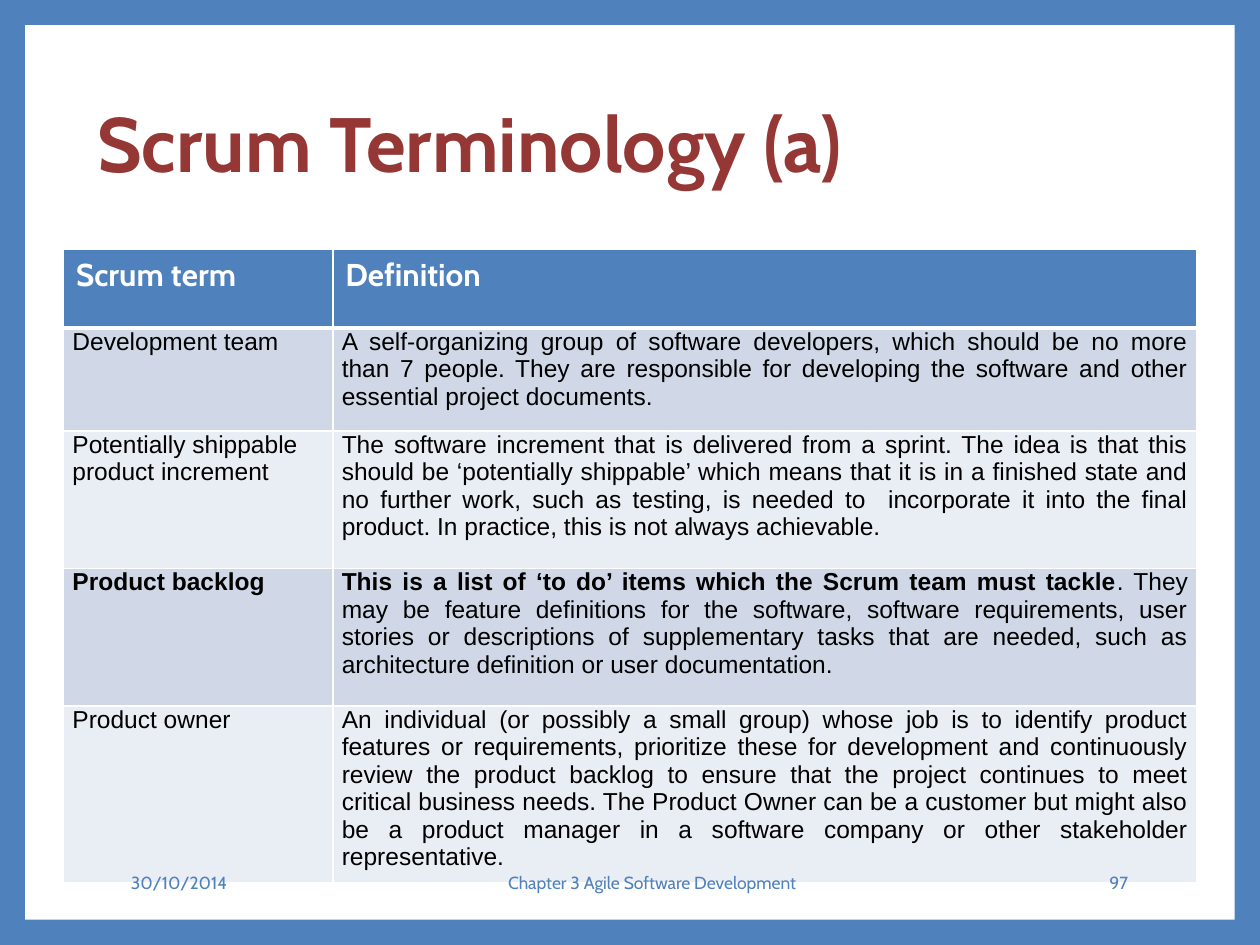
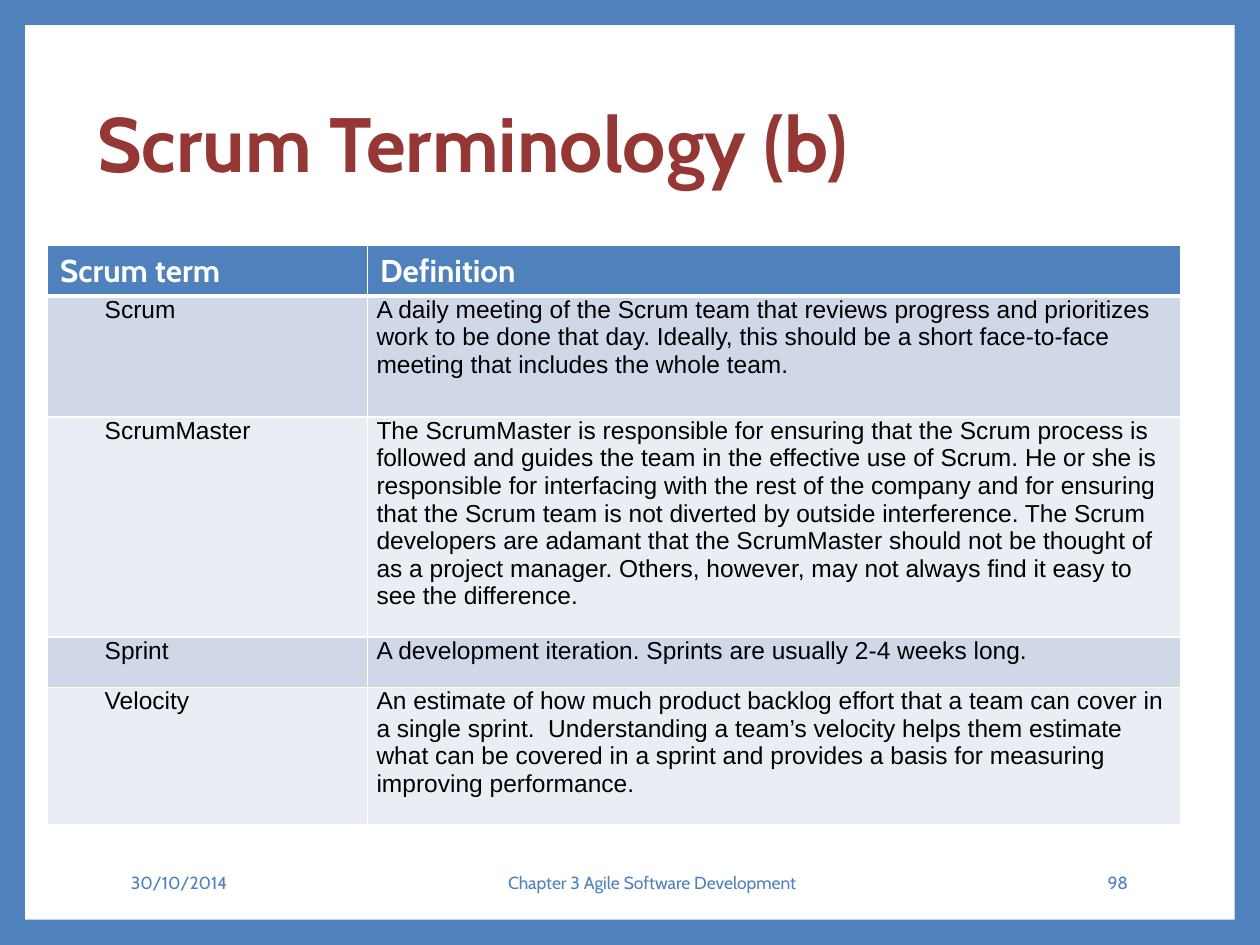
from dataclasses import dataclass

from lxml.etree import SubElement
from pptx import Presentation
from pptx.dml.color import RGBColor
from pptx.enum.shapes import MSO_SHAPE
from pptx.enum.text import MSO_ANCHOR as Anchor, PP_ALIGN as Align
from pptx.oxml.ns import qn
from pptx.slide import Slide
from pptx.table import _Cell as Cell
from pptx.text.text import Font, _Paragraph as Paragraph
from pptx.util import Cm, Pt


@dataclass(frozen=True)
class Theme:
    blue: str = "4F81BD"
    red: str = "953735"
    white: str = "FFFFFF"
    black: str = "000000"
    bands: tuple[str, str] = ("D0D8E8", "E9EDF4")
    heading_font: str = "Cabin"
    body_font: str = "Arial"
    title_size: int = 44
    header_size: int = 18
    body_size: int = 14
    footer_size: int = 10


THEME = Theme()


@dataclass(frozen=True)
class Box:
    """A place on the slide, in centimetres."""
    left: float
    top: float
    width: float
    height: float


@dataclass(frozen=True)
class Footer:
    text: str
    box: Box
    align: Align


@dataclass(frozen=True)
class Entry:
    term: str
    definition: str
    height: float
    bold_lead: str = ""


@dataclass(frozen=True)
class Glossary:
    title: str
    number: int
    left: float
    top: float
    columns: tuple[float, float]
    header_height: float
    entries: tuple[Entry, ...]
    align: Align = Align.LEFT
    term_indent: float = 0


SLIDE_WIDTH, SLIDE_HEIGHT, FRAME = 25.4, 19.05, 0.51
TITLE_BOX = Box(1.71, 1.09, 22.15, 3.76)
FOOTER_TOP, FOOTER_HEIGHT = 17.29, 1.02
HEADERS = ("Scrum term", "Definition")

GLOSSARIES = (
    Glossary(
        "Scrum Terminology (a)", 97, 1.28, 5.03, (5.43, 17.42), 1.58,
        (
            Entry("Development team",
                  "A self-organizing group of software developers, which should be no more than 7 "
                  "people. They are responsible for developing the software and other essential "
                  "project documents.", 2.08),
            Entry("Potentially shippable product increment",
                  "The software increment that is delivered from a sprint. The idea is that this "
                  "should be ‘potentially shippable’ which means that it is in a finished state "
                  "and no further work, such as testing, is needed to  incorporate it into the "
                  "final product. In practice, this is not always achievable.", 2.77),
            Entry("Product backlog",
                  ". They may be feature definitions for the software, software requirements, user "
                  "stories or descriptions of supplementary tasks that are needed, such as "
                  "architecture definition or user documentation.", 2.77,
                  "This is a list of ‘to do’ items which the Scrum team must tackle"),
            Entry("Product owner",
                  "An individual (or possibly a small group) whose job is to identify product "
                  "features or requirements, prioritize these for development and continuously "
                  "review the product backlog to ensure that the project continues to meet "
                  "critical business needs. The Product Owner can be a customer but might also be "
                  "a product manager in a software company or other stakeholder representative.",
                  3.32),
        ),
        align=Align.JUSTIFY,
    ),
    Glossary(
        "Scrum Terminology (b)", 98, 0.96, 4.95, (6.45, 16.4), 1.02,
        (
            Entry("Scrum",
                  "A daily meeting of the Scrum team that reviews progress and prioritizes work to "
                  "be done that day. Ideally, this should be a short face-to-face meeting that "
                  "includes the whole team.", 2.44),
            Entry("ScrumMaster",
                  "The ScrumMaster is responsible for ensuring that the Scrum process is followed "
                  "and guides the team in the effective use of Scrum. He or she is responsible for "
                  "interfacing with the rest of the company and for ensuring that the Scrum team "
                  "is not diverted by outside interference. The Scrum developers are adamant that "
                  "the ScrumMaster should not be thought of as a project manager. Others, however, "
                  "may not always find it easy to see the difference.", 4.43),
            Entry("Sprint", "A development iteration. Sprints are usually 2-4 weeks long.", 1.02),
            Entry("Velocity",
                  "An estimate of how much product backlog effort that a team can cover in a "
                  "single sprint.  Understanding a team’s velocity helps them estimate what can be "
                  "covered in a sprint and provides a basis for measuring improving performance.",
                  2.77),
        ),
        term_indent=0.97,
    ),
)


def set_font(font: Font, name: str, size: int, color: str, bold: bool = False) -> None:
    font.name, font.size, font.bold = name, Pt(size), bold
    font.color.rgb = RGBColor.from_string(color)


def add_text(slide: Slide, box: Box, text: str, align: Align = Align.LEFT) -> Paragraph:
    shape = slide.shapes.add_textbox(Cm(box.left), Cm(box.top), Cm(box.width), Cm(box.height))
    frame = shape.text_frame
    frame.word_wrap = True
    frame.vertical_anchor = Anchor.MIDDLE
    paragraph = frame.paragraphs[0]
    paragraph.text, paragraph.alignment = text, align
    return paragraph


def add_base(slide: Slide, title: str) -> None:
    """Draw the frame and title that all slides share."""
    background = slide.background.fill
    background.solid()
    background.fore_color.rgb = RGBColor.from_string(THEME.blue)
    panel = slide.shapes.add_shape(MSO_SHAPE.RECTANGLE, Cm(FRAME), Cm(FRAME),
                                   Cm(SLIDE_WIDTH - 2 * FRAME), Cm(SLIDE_HEIGHT - 2 * FRAME))
    panel.shadow.inherit = False
    panel.fill.solid()
    panel.fill.fore_color.rgb = RGBColor.from_string(THEME.white)
    panel.line.fill.background()

    heading = add_text(slide, TITLE_BOX, title)
    heading.line_spacing = 0.9
    set_font(heading.font, THEME.heading_font, THEME.title_size, THEME.red, True)


def add_footers(slide: Slide, number: int) -> None:
    footers = (
        Footer("30/10/2014", Box(2.39, FOOTER_TOP, 4.85, FOOTER_HEIGHT), Align.LEFT),
        Footer("Chapter 3 Agile Software Development",
               Box(8.23, FOOTER_TOP, 9.83, FOOTER_HEIGHT), Align.CENTER),
        Footer(str(number), Box(19.43, FOOTER_TOP, 3.56, FOOTER_HEIGHT), Align.RIGHT),
    )
    for footer in footers:
        paragraph = add_text(slide, footer.box, footer.text, footer.align)
        set_font(paragraph.font, THEME.heading_font, THEME.footer_size, THEME.blue)


def style_cell(cell: Cell, fill: str, top: float = 1, bottom: float = 1) -> None:
    """Give the cell white borders, with widths in points, and a fill."""
    properties = cell._tc.get_or_add_tcPr()
    for side, width in (("L", 1), ("R", 1), ("T", top), ("B", bottom)):
        line = SubElement(properties, qn(f"a:ln{side}"), w=str(Pt(width)))
        SubElement(SubElement(line, qn("a:solidFill")), qn("a:srgbClr"), val=THEME.white)
    cell.fill.solid()
    cell.fill.fore_color.rgb = RGBColor.from_string(fill)


def fill_body_cell(cell: Cell, text: str, bold_lead: str = "") -> Paragraph:
    """Write the text; the end mark gets the body font too, so the row keeps its height."""
    cell.margin_left = cell.margin_right = Cm(0.18)
    cell.margin_top = cell.margin_bottom = 0
    paragraph = cell.text_frame.paragraphs[0]
    for part, bold in ((bold_lead, True), (text, False)):
        if part:
            run = paragraph.add_run()
            run.text = part
            set_font(run.font, THEME.body_font, THEME.body_size, THEME.black, bold)
    end_mark = SubElement(paragraph._p, qn("a:endParaRPr"), sz=str(THEME.body_size * 100))
    SubElement(end_mark, qn("a:latin"), typeface=THEME.body_font)
    return paragraph


def add_glossary_table(slide: Slide, glossary: Glossary) -> None:
    heights = (glossary.header_height, *(entry.height for entry in glossary.entries))
    table = slide.shapes.add_table(
        len(heights), len(HEADERS), Cm(glossary.left), Cm(glossary.top),
        Cm(sum(glossary.columns)), Cm(sum(heights))).table
    for column, width in zip(table.columns, glossary.columns):
        column.width = Cm(width)
    for row, height in zip(table.rows, heights):
        row.height = Cm(height)

    for column, header in enumerate(HEADERS):
        cell = table.cell(0, column)
        style_cell(cell, THEME.blue, bottom=3)
        paragraph = cell.text_frame.paragraphs[0]
        paragraph.text = header
        set_font(paragraph.font, THEME.heading_font, THEME.header_size, THEME.white, True)

    for row, entry in enumerate(glossary.entries, start=1):
        term_cell, definition_cell = table.cell(row, 0), table.cell(row, 1)
        for cell in (term_cell, definition_cell):
            style_cell(cell, THEME.bands[(row - 1) % 2], top=3 if row == 1 else 1)
        if entry.bold_lead:
            term = fill_body_cell(term_cell, "", entry.term)
        else:
            term = fill_body_cell(term_cell, entry.term)
        if glossary.term_indent:
            properties = term._p.get_or_add_pPr()
            properties.set("marL", "0")
            properties.set("indent", str(Cm(glossary.term_indent)))
        definition = fill_body_cell(definition_cell, entry.definition, entry.bold_lead)
        definition.alignment = glossary.align


def main() -> None:
    presentation = Presentation()
    presentation.slide_width, presentation.slide_height = Cm(SLIDE_WIDTH), Cm(SLIDE_HEIGHT)
    blank_layout = presentation.slide_layouts[6]
    for glossary in GLOSSARIES:
        slide = presentation.slides.add_slide(blank_layout)
        add_base(slide, glossary.title)
        add_glossary_table(slide, glossary)
        add_footers(slide, glossary.number)
    presentation.save("out.pptx")


if __name__ == "__main__":
    main()
